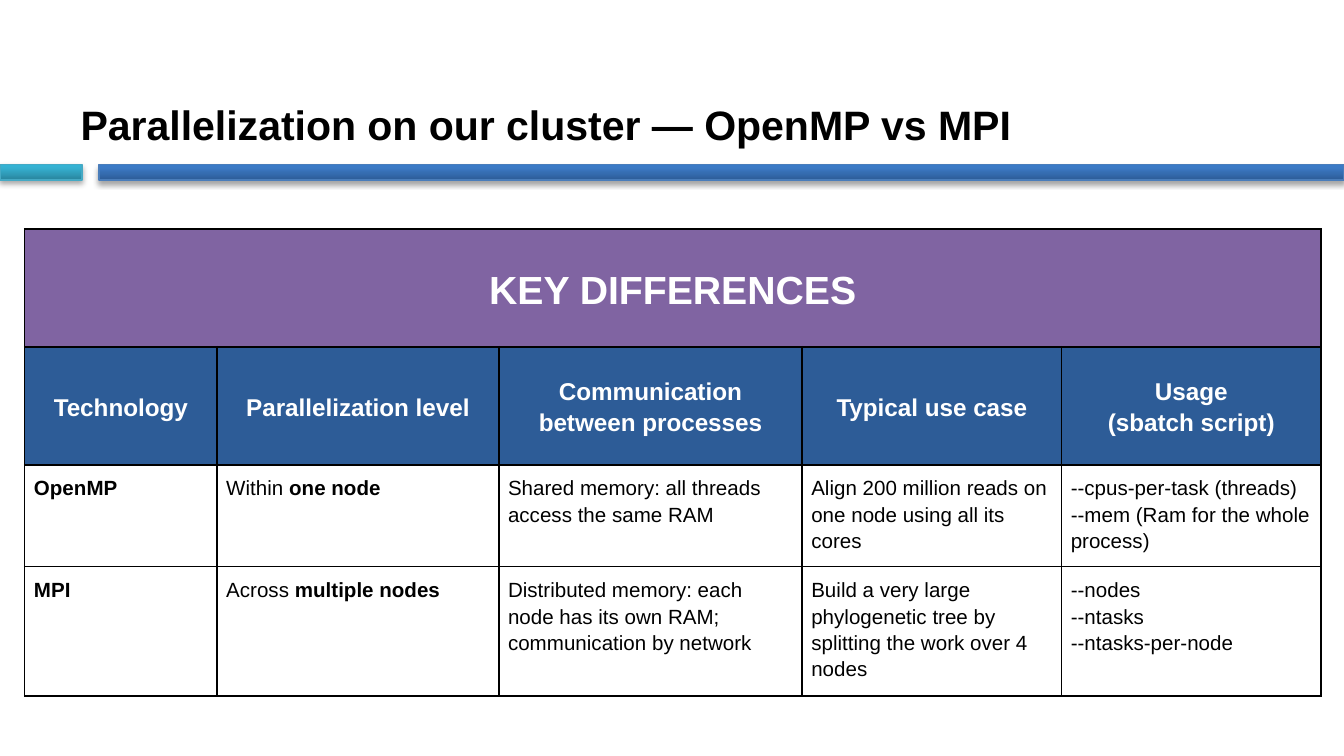
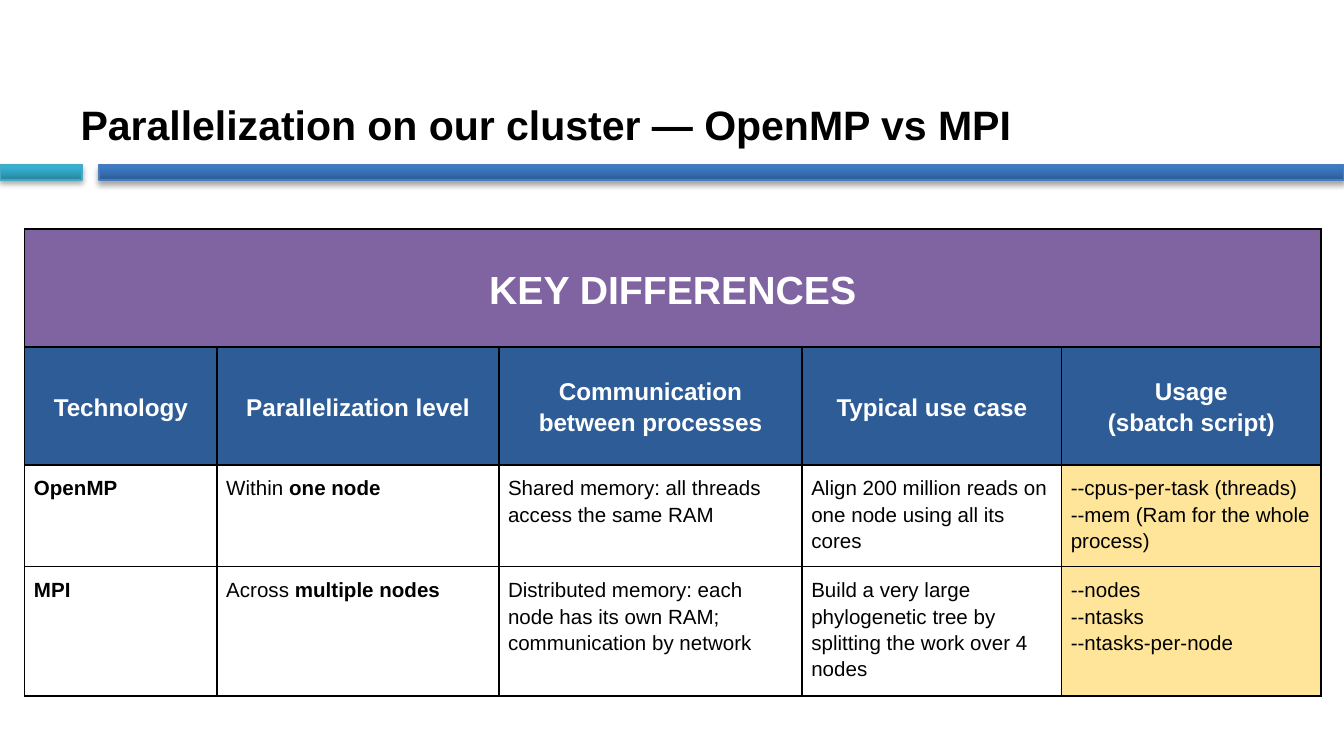
import copy

import pptx
import pptx.dml.color
import pptx.enum.shapes
import pptx.enum.text
import pptx.oxml.ns
import pptx.util
from lxml import etree

Pt = pptx.util.Pt
qn = pptx.oxml.ns.qn
Align = pptx.enum.text.PP_ALIGN
Anchor = pptx.enum.text.MSO_ANCHOR

TITLE = "Parallelization on our cluster — OpenMP vs MPI"
BANNER = "KEY DIFFERENCES"
# Asterisks enclose bold words; line breaks part paragraphs.
HEADS = ["Technology", "Parallelization level", "Communication between processes",
         "Typical use case", "Usage\n(sbatch script)"]
ROWS = [
    ["*OpenMP*", "Within *one node*",
     "Shared memory: all threads access the same RAM",
     "Align 200 million reads on one node using all its cores",
     "--cpus-per-task (threads)\n--mem (Ram for the whole process)"],
    ["*MPI*", "Across *multiple nodes*",
     "Distributed memory: each node has its own RAM; communication by network",
     "Build a very large phylogenetic tree by splitting the work over 4 nodes",
     "--nodes\n--ntasks\n--ntasks-per-node"],
]
USAGE_FILLS = [None, "FFE599"]  # one slide each

FONT = "Arial"
BLACK, WHITE, PURPLE, NAVY = "000000", "FFFFFF", "8064A2", "2D5C97"
WIDTH, HEIGHT = 720, 405
BAND_TOP, BAND_HIGH = 88.2, 8.2
BANDS = [  # left, right, line, gradient from the bottom up
    (53, WIDTH, "4A7DBA", (NAVY, "3C7AC5", "397BC9")),
    (0, 44, "45A9C4", ("29859E", "36B0D0", "33B3D5")),
]
STOPS = (0, 0.8, 1)
TABLE_LEFT, TABLE_TOP = 13.2, 122.6
COLS = [103, 151, 162.5, 139, 139]
HIGHS = [63.2, 63.2, 54.6, 69.2]
LEAD = 1.15


def color(code):
    return pptx.dml.color.RGBColor.from_string(code)


def style(run, size, code, bold):
    run.font.name = FONT
    run.font.size = Pt(size)
    run.font.bold = bold
    run.font.color.rgb = color(code)


def add_band(slide, left, right, edge, shades):
    band = slide.shapes.add_shape(
        pptx.enum.shapes.MSO_SHAPE.RECTANGLE,
        Pt(left), Pt(BAND_TOP), Pt(right - left), Pt(BAND_HIGH))
    band.line.color.rgb = color(edge)
    band.line.width = Pt(0.75)
    band.fill.gradient()
    band.fill.gradient_angle = 90
    props = band._element.spPr
    stops = props.find(".//" + qn("a:gsLst"))
    stops.append(copy.deepcopy(stops[0]))
    for stop, place, shade in zip(band.fill.gradient_stops, STOPS, shades):
        stop.position = place
        stop.color.rgb = color(shade)
    band.shadow.inherit = False
    shadow = etree.SubElement(
        props.find(qn("a:effectLst")), qn("a:outerShdw"),
        blurRad=str(Pt(3.1)), dist=str(Pt(1.8)), dir="5400000", rotWithShape="0")
    tint = etree.SubElement(shadow, qn("a:srgbClr"), val=BLACK)
    etree.SubElement(tint, qn("a:alpha"), val="35000")


def set_title(slide):
    title = slide.shapes.title
    title.left, title.top, title.width, title.height = Pt(36), Pt(41), Pt(648), Pt(47)
    frame = title.text_frame
    frame.text = TITLE
    frame.auto_size = pptx.enum.text.MSO_AUTO_SIZE.NONE
    frame.vertical_anchor = Anchor.MIDDLE
    para = frame.paragraphs[0]
    para.alignment = Align.LEFT
    para.line_spacing = LEAD
    style(para.runs[0], 22, BLACK, True)


def set_edges(cell):
    props = cell._tc.get_or_add_tcPr()
    for spot, side in enumerate(("a:lnL", "a:lnR", "a:lnT", "a:lnB")):
        line = etree.Element(qn(side), w=str(Pt(1)))
        fill = etree.SubElement(line, qn("a:solidFill"))
        etree.SubElement(fill, qn("a:srgbClr"), val=BLACK)
        props.insert(spot, line)


def fill_cell(cell, text, size, code, fill=None, head=False):
    cell.margin_left = cell.margin_right = Pt(5)
    cell.margin_top = cell.margin_bottom = Pt(5)
    cell.vertical_anchor = Anchor.MIDDLE if head else Anchor.TOP
    if fill:
        cell.fill.solid()
        cell.fill.fore_color.rgb = color(fill)
    else:
        cell.fill.background()
    set_edges(cell)
    frame = cell.text_frame
    for at, line in enumerate(text.split("\n")):
        para = frame.add_paragraph() if at else frame.paragraphs[0]
        para.alignment = Align.CENTER if head else Align.LEFT
        para.line_spacing = LEAD
        for turn, part in enumerate(line.split("*")):
            if part:
                run = para.add_run()
                run.text = part
                style(run, size, code, head or turn % 2 == 1)


def add_grid(slide, usage_fill):
    grid = slide.shapes.add_table(
        len(HIGHS), len(COLS), Pt(TABLE_LEFT), Pt(TABLE_TOP),
        Pt(sum(COLS)), Pt(sum(HIGHS))).table
    grid.first_row = grid.horz_banding = False
    for col, width in zip(grid.columns, COLS):
        col.width = Pt(width)
    for row, high in zip(grid.rows, HIGHS):
        row.height = Pt(high)
    last = len(COLS) - 1
    grid.cell(0, 0).merge(grid.cell(0, last))
    for at in range(len(COLS)):
        fill_cell(grid.cell(0, at), "" if at else BANNER, 21, WHITE, PURPLE, True)
        fill_cell(grid.cell(1, at), HEADS[at], 13, WHITE, NAVY, True)
        for down, texts in enumerate(ROWS, 2):
            fill = usage_fill if at == last else None
            fill_cell(grid.cell(down, at), texts[at], 11, BLACK, fill)


def main():
    deck = pptx.Presentation()
    deck.slide_width, deck.slide_height = Pt(WIDTH), Pt(HEIGHT)
    for usage_fill in USAGE_FILLS:
        slide = deck.slides.add_slide(deck.slide_layouts[5])
        for band in BANDS:
            add_band(slide, *band)
        add_grid(slide, usage_fill)
        set_title(slide)
    deck.save("out.pptx")


if __name__ == "__main__":
    main()
